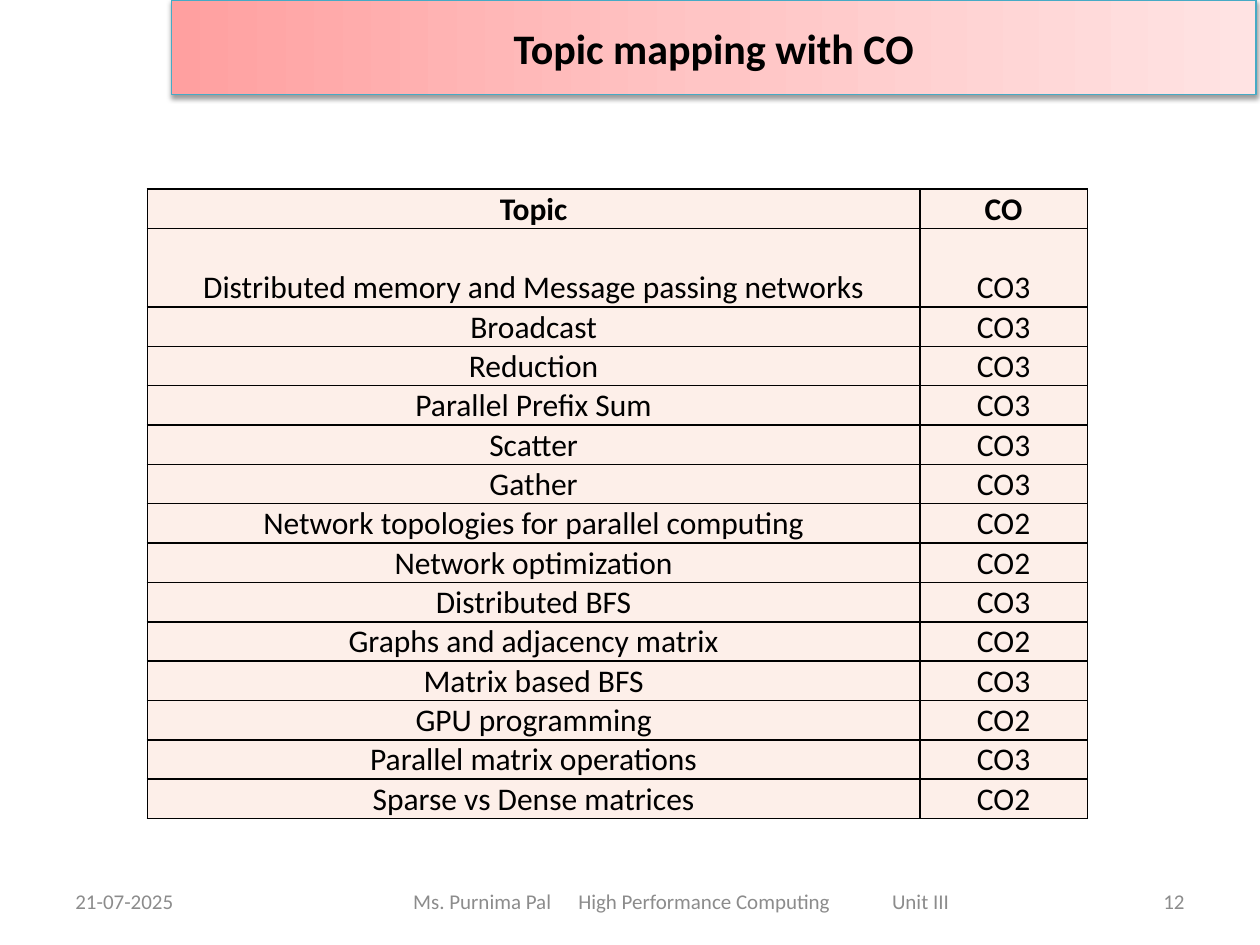
import pptx
import pptx.dml.color
import pptx.enum.shapes
import pptx.enum.text
import pptx.oxml.ns
import pptx.util
from lxml import etree

Inches, Pt = pptx.util.Inches, pptx.util.Pt
ALIGN = pptx.enum.text.PP_ALIGN
ANCHOR = pptx.enum.text.MSO_ANCHOR
qn = pptx.oxml.ns.qn

BLACK, GRAY, CREAM, TEAL = "000000", "8C8C8C", "FDEFE9", "46AAC5"
BANNER_STOPS = [(0, "FFA0A0"), (50, "FFC5C5"), (100, "FFE3E3")]
TOPICS = [
    ("Topic", "CO"),
    ("Distributed memory and Message passing networks", "CO3"),
    ("Broadcast", "CO3"),
    ("Reduction", "CO3"),
    ("Parallel Prefix Sum", "CO3"),
    ("Scatter", "CO3"),
    ("Gather", "CO3"),
    ("Network topologies for parallel computing", "CO2"),
    ("Network optimization", "CO2"),
    ("Distributed BFS", "CO3"),
    ("Graphs and adjacency matrix", "CO2"),
    ("Matrix based BFS", "CO3"),
    ("GPU programming", "CO2"),
    ("Parallel matrix operations", "CO3"),
    ("Sparse vs Dense matrices", "CO2"),
]


def rgb(value):
    return pptx.dml.color.RGBColor.from_string(value)


def add_element(parent, tag, **attributes):
    element = etree.SubElement(parent, qn(tag))
    for name, value in attributes.items():
        element.set(name, str(value))
    return element


def write(frame, text, size, color, align, bold=False):
    frame.text = text
    para = frame.paragraphs[0]
    para.alignment = align
    for span in para.runs:
        span.font.name = "Calibri"
        span.font.size = Pt(size)
        span.font.bold = bold
        span.font.color.rgb = rgb(color)


def add_banner(page, left, top, width, height):
    banner = page.shapes.add_shape(
        pptx.enum.shapes.MSO_SHAPE.RECTANGLE, left, top, width, height)
    banner.fill.gradient()
    banner.fill.gradient_angle = 0
    properties = banner.element.spPr
    stops = properties.find(".//" + qn("a:gsLst"))
    for stop in list(stops):
        stops.remove(stop)
    for percent, color in BANNER_STOPS:
        stop = add_element(stops, "a:gs", pos=percent * 1000)
        add_element(stop, "a:srgbClr", val=color)
    banner.line.color.rgb = rgb(TEAL)
    banner.line.width = Pt(0.75)

    banner.shadow.inherit = False
    shadow = add_element(
        properties.find(qn("a:effectLst")), "a:outerShdw",
        blurRad=Pt(3.1), dist=Pt(1.6), dir=90 * 60000, rotWithShape=0)
    shade = add_element(shadow, "a:srgbClr", val=BLACK)
    add_element(shade, "a:alpha", val=38000)

    banner.text_frame.vertical_anchor = ANCHOR.MIDDLE
    write(banner.text_frame, "Topic mapping with CO", 24, BLACK, ALIGN.CENTER, bold=True)


def style_cell(cell):
    cell.margin_left = cell.margin_right = cell.margin_top = Inches(0.01)
    cell.margin_bottom = 0
    cell.vertical_anchor = ANCHOR.BOTTOM
    properties = cell._tc.get_or_add_tcPr()
    for side in ("a:lnL", "a:lnR", "a:lnT", "a:lnB"):
        border = add_element(properties, side, w=Pt(1))
        add_element(add_element(border, "a:solidFill"), "a:srgbClr", val=BLACK)
    cell.fill.solid()
    cell.fill.fore_color.rgb = rgb(CREAM)


def add_topic_table(page, left, top, width, height):
    """Every row has the same height, except a double one below the header."""
    outcome_width = Inches(1.33)
    table = page.shapes.add_table(len(TOPICS), 2, left, top, width, height).table
    table.columns[0].width = width - outcome_width
    table.columns[1].width = outcome_width
    row_height = height // (len(TOPICS) + 1)
    for row, texts in enumerate(TOPICS):
        table.rows[row].height = row_height * (2 if row == 1 else 1)
        for column, text in enumerate(texts):
            cell = table.cell(row, column)
            style_cell(cell)
            write(cell.text_frame, text, 18, BLACK, ALIGN.CENTER, bold=row == 0)


def add_footer_text(page, left, top, width, height, text, align):
    box = page.shapes.add_textbox(left, top, width, height)
    box.text_frame.word_wrap = True
    box.text_frame.vertical_anchor = ANCHOR.MIDDLE
    write(box.text_frame, text, 12, GRAY, align)
    return box


def add_footer(page, left, top, width, height):
    side_width = Inches(2.33)
    add_footer_text(page, left, top, side_width, height, "21-07-2025", ALIGN.LEFT)
    add_footer_text(page, left + width - side_width, top, side_width, height,
                    "12", ALIGN.RIGHT)
    course = add_footer_text(
        page, left + Inches(2.25), top, Inches(5.5), height,
        "Ms. Purnima Pal\tHigh Performance Computing\tUnit III", ALIGN.LEFT)
    course.text_frame.margin_left = Inches(0.53)
    para = course.text_frame.paragraphs[0]
    tab_list = add_element(para._p.get_or_add_pPr(), "a:tabLst")
    for position in (1.31, 3.8):
        add_element(tab_list, "a:tab", pos=Inches(position), algn="l")


def main():
    deck = pptx.Presentation()
    deck.slide_width, deck.slide_height = Inches(10), Inches(7.5)
    page = deck.slides.add_slide(deck.slide_layouts[6])
    add_footer(page, Inches(0.5), Inches(6.95), Inches(9), Inches(0.4))
    add_banner(page, Inches(1.36), Inches(0), Inches(8.61), Inches(0.75))
    add_topic_table(page, Inches(1.17), Inches(1.5), Inches(7.46), Inches(5))
    deck.save("out.pptx")


if __name__ == "__main__":
    main()
